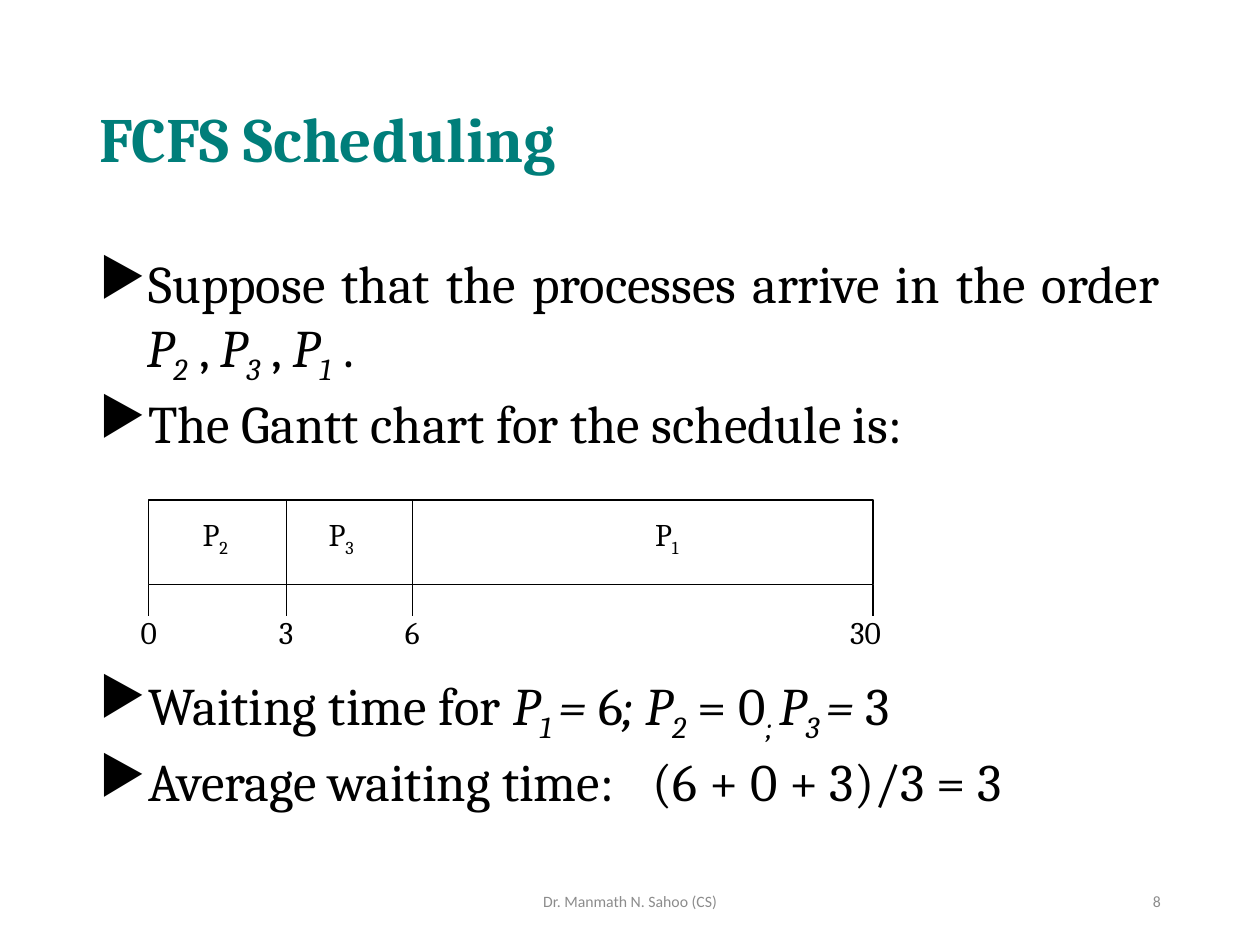
from lxml import etree
from pptx import Presentation
from pptx.dml.color import RGBColor
from pptx.enum.shapes import MSO_CONNECTOR, MSO_SHAPE
from pptx.enum.text import MSO_ANCHOR, PP_ALIGN
from pptx.oxml.ns import qn
from pptx.util import Cm, Pt

LEFT, CENTER, RIGHT, JUSTIFY = PP_ALIGN.LEFT, PP_ALIGN.CENTER, PP_ALIGN.RIGHT, PP_ALIGN.JUSTIFY
TOP, MIDDLE = MSO_ANCHOR.TOP, MSO_ANCHOR.MIDDLE
STRAIGHT, RECT = MSO_CONNECTOR.STRAIGHT, MSO_SHAPE.RECTANGLE

BLACK, TEAL, GREY, WHITE = "000000", "007E7A", "8C8C8C", "FFFFFF"
SERIF, SANS = "Cambria", "Calibri"
LEFT_EDGE, BODY_W = 1.75, 21.9
INDENT = 0.96

# Content: a run is (text, style); i = italic, s = subscript, w = wide gap
TITLE = "FCFS Scheduling"
ARRIVAL = [
    (JUSTIFY, [("Suppose that the processes arrive in the order ", ""),
               ("P", "i"), ("2", "is"), (" , ", ""), ("P", "i"), ("3", "is"),
               (" , ", ""), ("P", "i"), ("1", "is"), (" .", "")]),
    (LEFT, [("The Gantt chart for the schedule is:", "")]),
]
WAITING = [
    (JUSTIFY, [("Waiting time for ", ""), ("P", "i"), ("1 ", "is"), ("=", "i"),
               (" 6", ""), ("; P", "i"), ("2", "is"), (" = 0", ""), ("; ", "is"),
               ("P", "i"), ("3 ", "is"), ("= ", "i"), ("3", "")]),
    (JUSTIFY, [("Average waiting time:", ""), (" ", "w"), ("(6 + 0 + 3)/3 = 3", "")]),
]
FOOTER, PAGE = "Dr. Manmath N. Sahoo (CS)", "8"

# Gantt chart: (process number, label centre) and (time, x), in cm
PROCESSES = [("2", 4.34), ("3", 6.88), ("1", 13.44)]
TIMES = [("0", 3.0, 3.0), ("3", 5.77, 5.77), ("6", 8.31, 8.31), ("30", 17.6, 17.45)]
BAR_TOP, BAR_BOTTOM, TICK_END = 10.08, 11.79, 12.42
LABEL_W, LABEL_H = 1.2, 1.02


def rgb(color):
    return RGBColor.from_string(color)


def add_runs(p, runs, size, color=BLACK, font=SERIF, bold=False):
    for text, style in runs:
        r = p.add_run()
        r.text = text
        r.font.name, r.font.size, r.font.bold = font, Pt(size), bold
        r.font.color.rgb = rgb(color)
        r.font.italic = "i" in style
        if "s" in style:
            r.font._element.set("baseline", "-25000")
        if "w" in style:
            r.font._element.set("spc", "1500")


def add_box(s, x, y, w, h, anchor=MIDDLE, wrap=True):
    tf = s.shapes.add_textbox(Cm(x), Cm(y), Cm(w), Cm(h)).text_frame
    tf.word_wrap = wrap
    tf.vertical_anchor = anchor
    return tf


def add_label(s, x, y, w, h, runs, size, align=CENTER, wrap=True, **look):
    p = add_box(s, x, y, w, h, wrap=wrap).paragraphs[0]
    p.alignment = align
    add_runs(p, runs, size, **look)
    return p


def add_bullets(s, y, h, items):
    tf = add_box(s, LEFT_EDGE, y, BODY_W, h, TOP)
    for i, (align, runs) in enumerate(items):
        p = tf.add_paragraph() if i else tf.paragraphs[0]
        p.alignment, p.line_spacing, p.space_after = align, 0.9, Pt(10)
        pPr = p._p.get_or_add_pPr()
        pPr.set("marL", str(Cm(INDENT)))
        pPr.set("indent", str(-Cm(INDENT)))
        etree.SubElement(pPr, qn("a:buChar")).set("char", "▶")
        add_runs(p, runs, 30.2)


def add_line(s, x, y1, y2):
    c = s.shapes.add_connector(STRAIGHT, Cm(x), Cm(y1), Cm(x), Cm(y2))
    c.line.color.rgb = rgb(BLACK)
    c.line.width = Pt(0.75)
    etree.SubElement(c._element.spPr, qn("a:effectLst"))


prs = Presentation()
prs.slide_width, prs.slide_height = Cm(25.4), Cm(19.05)
s = prs.slides.add_slide(prs.slide_layouts[6])

# Title and bullets
title = add_label(s, LEFT_EDGE, 1.02, BODY_W, 3.68, [(TITLE, "")], 36, LEFT,
                  color=TEAL, bold=True)
title.line_spacing = 0.9
add_bullets(s, 5.08, 4.9, ARRIVAL)
add_bullets(s, 13.46, 4.19, WAITING)

# Footer
add_label(s, 8.41, 17.65, 8.58, 1.02, [(FOOTER, "")], 9, color=GREY, font=SANS)
add_label(s, 17.93, 17.65, 5.72, 1.02, [(PAGE, "")], 9, RIGHT, color=GREY, font=SANS)

# Gantt bar
start, end = TIMES[0][1], TIMES[-1][1]
bar = s.shapes.add_shape(RECT, Cm(start), Cm(BAR_TOP), Cm(end - start), Cm(BAR_BOTTOM - BAR_TOP))
bar.shadow.inherit = False
bar.fill.solid()
bar.fill.fore_color.rgb = rgb(WHITE)
bar.line.color.rgb = rgb(BLACK)
bar.line.width = Pt(0.75)

# Process names, dividers, ticks and times
for number, x in PROCESSES:
    add_label(s, x - LABEL_W / 2, 10.31, LABEL_W, LABEL_H,
              [("P", ""), (number, "s")], 18, wrap=False)
for _, x, _ in TIMES[1:-1]:
    add_line(s, x, BAR_TOP, BAR_BOTTOM)
for time, x, label_x in TIMES:
    add_line(s, x, BAR_BOTTOM, TICK_END)
    add_label(s, label_x - LABEL_W / 2, 12.22, LABEL_W, LABEL_H, [(time, "")], 18, wrap=False)

prs.save("out.pptx")
